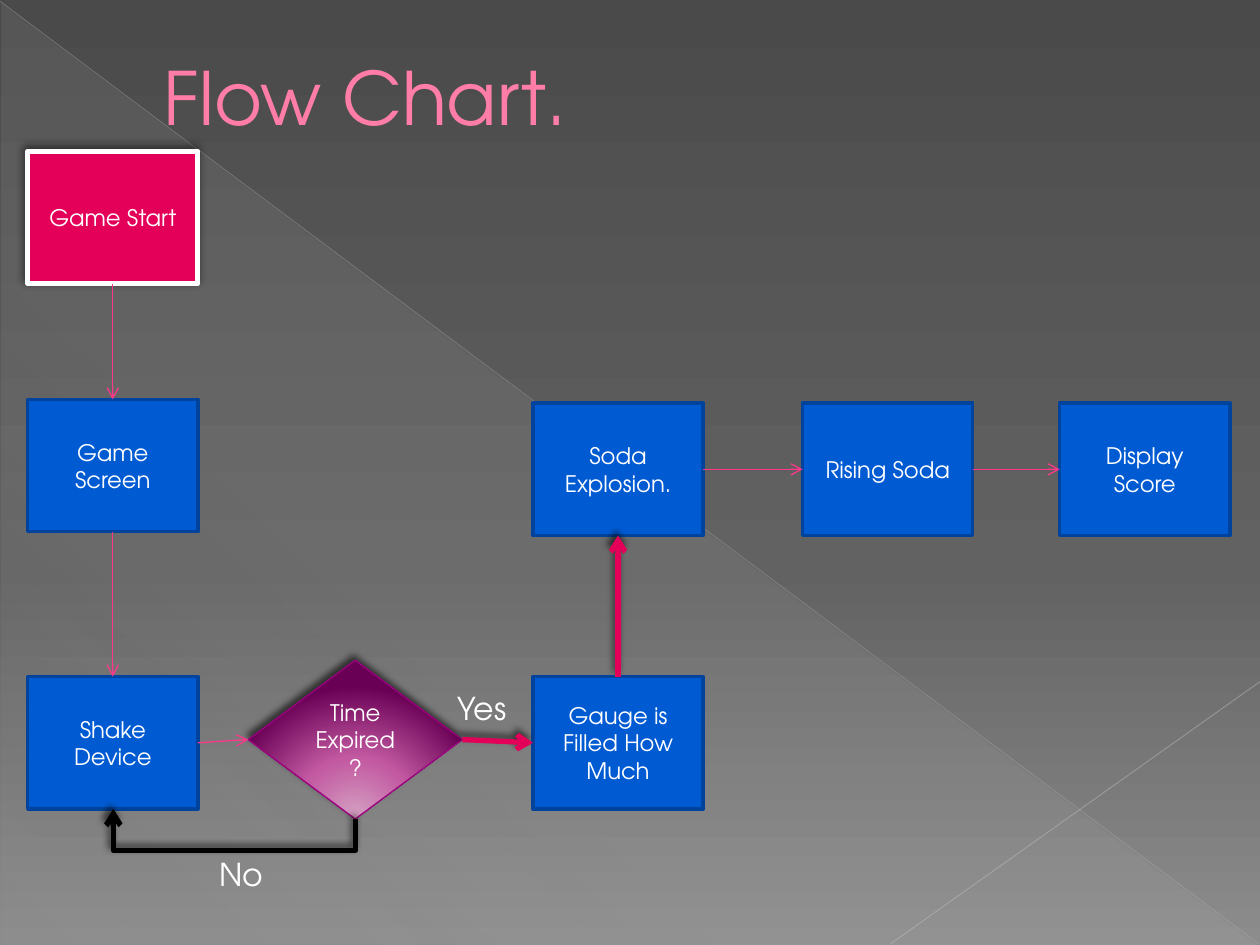
from dataclasses import dataclass

from lxml.etree import SubElement
from pptx import Presentation
from pptx.dml.color import RGBColor
from pptx.enum.shapes import MSO_CONNECTOR, MSO_SHAPE
from pptx.enum.text import MSO_ANCHOR, PP_ALIGN
from pptx.oxml.ns import qn
from pptx.util import Inches, Pt


@dataclass(frozen=True)
class Theme:
    """Colours, font and type sizes of the slide."""
    font: str = "TeX Gyre Adventor"
    title_size: float = 42
    label_size: float = 18
    step_size: float = 13
    title: str = "FF7DA7"
    text: str = "FFFFFF"
    start: str = "E40059"
    step: str = "005BD3"
    step_edge: str = "00439C"
    choice_edge: str = "9C007F"
    arrow: str = "FF388C"
    loop: str = "000000"
    ray: str = "BFBFBF"
    short_ray: str = "C6C6C6"
    backdrop: tuple = ((0, "4A4A4A", 100), (60, "626262", 100), (100, "8C8C8C", 100))
    sheen: tuple = ((0, "D2D2D2", 10), (70, "D2D2D2", 8), (100, "D2D2D2", 1))
    choice: tuple = ((0, "D5A2C3", 100), (46, "C259A1", 100), (100, "690055", 100))


THEME = Theme()
STEP_WIDTH, STEP_HEIGHT = 1.35, 1.05
TOP, LEFT, BOTTOM, RIGHT = range(4)
SOFT_SHADOW = (50, 5, 2)
DEEP_SHADOW = (60, 4, 3)


def rgb(colour):
    """Return a colour object for a hex string."""
    return RGBColor.from_string(colour)


def add_node(parent, tag, **attributes):
    """Append a DrawingML element with the given attributes."""
    node = SubElement(parent, qn(f"a:{tag}"))
    for name, value in attributes.items():
        node.set(name, str(value))
    return node


def add_colour(parent, colour, opacity):
    """Append a colour with its opacity in percent."""
    add_node(add_node(parent, "srgbClr", val=colour), "alpha", val=opacity * 1000)


def paint_gradient(fill, owner, stops, angle=None, focus=None):
    """Fill with gradient stops, linear by angle or circular around a focus."""
    fill.gradient()
    gradient = next(owner.iter(qn("a:gradFill")))
    for child in list(gradient):
        gradient.remove(child)
    stop_list = add_node(gradient, "gsLst")
    for position, colour, opacity in stops:
        add_colour(add_node(stop_list, "gs", pos=position * 1000), colour, opacity)
    if focus:
        sides = {side: percent * 1000 for side, percent in zip("ltrb", focus)}
        add_node(add_node(gradient, "path", path="circle"), "fillToRect", **sides)
    else:
        add_node(gradient, "lin", ang=angle * 60000, scaled=0)


def cast_shadow(effects, shadow):
    """Add an outer shadow given as opacity, blur and distance."""
    opacity, blur, distance = shadow
    outer = add_node(effects, "outerShdw", blurRad=Pt(blur), dist=Pt(distance),
                     dir=245 * 60000, algn="ctr", rotWithShape=0)
    add_colour(outer, THEME.loop, opacity)


def write(frame, text, size, colour=THEME.text, align=PP_ALIGN.LEFT):
    """Write one wrapped paragraph into a text frame."""
    frame.word_wrap = True
    frame.text = text
    paragraph = frame.paragraphs[0]
    paragraph.alignment = align
    paragraph.font.name = THEME.font
    paragraph.font.size = Pt(size)
    paragraph.font.color.rgb = rgb(colour)
    return paragraph


def add_step(slide, text, left, top, width=STEP_WIDTH, height=STEP_HEIGHT,
             kind=MSO_SHAPE.FLOWCHART_PROCESS, fill=THEME.step,
             edge=THEME.step_edge, edge_width=2, shadow=None):
    """Add one flow chart shape with centred text."""
    step = slide.shapes.add_shape(kind, Inches(left), Inches(top), Inches(width), Inches(height))
    step.fill.solid()
    step.fill.fore_color.rgb = rgb(fill)
    step.line.color.rgb = rgb(edge)
    step.line.width = Pt(edge_width)
    step.shadow.inherit = False
    if shadow:
        cast_shadow(next(step._element.iter(qn("a:effectLst"))), shadow)
    step.text_frame.vertical_anchor = MSO_ANCHOR.MIDDLE
    write(step.text_frame, text, THEME.step_size, align=PP_ALIGN.CENTER)
    return step


def add_line(slide, start, end, colour, width, kind=MSO_CONNECTOR.STRAIGHT,
             opacity=100, arrow=False, shadow=None):
    """Add a connector between two points."""
    line = slide.shapes.add_connector(kind, *map(Inches, start + end))
    line.line.color.rgb = rgb(colour)
    line.line.width = Pt(width)
    properties = line._element.spPr
    add_node(next(properties.iter(qn("a:srgbClr"))), "alpha", val=opacity * 1000)
    if arrow:
        add_node(properties.find(qn("a:ln")), "tailEnd", type="arrow")
    effects = add_node(properties, "effectLst")
    if shadow:
        cast_shadow(effects, shadow)
    return line


def link(slide, source, source_side, target, target_side, strong=False):
    """Join two steps with a glued arrow."""
    look = (THEME.start, 3) if strong else (THEME.arrow, 0.75)
    arrow = add_line(slide, (0, 0), (1, 1), *look, arrow=True,
                     shadow=DEEP_SHADOW if strong else None)
    arrow.begin_connect(source, source_side)
    arrow.end_connect(target, target_side)


def add_loop(slide, start, end, low):
    """Add a bent arrow that drops to a low level and returns upwards."""
    middle_x, middle_y = (start[0] + end[0]) / 2, (start[1] + end[1]) / 2
    rise, reach = start[1] - end[1], start[0] - end[0]
    loop = add_line(slide, (middle_x + rise / 2, middle_y - reach / 2),
                    (middle_x - rise / 2, middle_y + reach / 2), THEME.loop, 3,
                    kind=MSO_CONNECTOR.ELBOW, arrow=True, shadow=DEEP_SHADOW)
    properties = loop._element.spPr
    properties.find(qn("a:xfrm")).set("rot", str(90 * 60000))
    adjustments = next(properties.iter(qn("a:avLst")))
    bend = round((start[1] - low) / rise * 100000)
    add_node(adjustments, "gd", name="adj1", fmla=f"val {bend}")


def add_label(slide, text, left, top):
    """Add a branch label."""
    label = slide.shapes.add_textbox(Inches(left), Inches(top), Inches(0.66), Inches(0.4))
    write(label.text_frame, text, THEME.label_size)


def add_backdrop(slide):
    """Paint the background, its sheen and its rays."""
    background = slide.background.fill
    paint_gradient(background, slide._element, THEME.backdrop, angle=90)
    sheen = slide.shapes.add_shape(MSO_SHAPE.RIGHT_TRIANGLE, Inches(0.01), Inches(0.02),
                                   Inches(9.98), Inches(7.48))
    paint_gradient(sheen.fill, sheen._element, THEME.sheen, angle=133)
    sheen.line.fill.background()
    sheen.shadow.inherit = False
    add_line(slide, (0, 0.01), (9.99, 7.49), THEME.ray, 0.39, opacity=35)
    add_line(slide, (10, 5.41), (7.07, 7.49), THEME.short_ray, 0.47, opacity=45)


def add_title(slide, text):
    """Place the title in front of the backdrop."""
    title = slide.shapes.title
    title.left, title.top, title.width, title.height = map(Inches, (0.67, 0, 9, 1.53))
    title.text_frame.vertical_anchor = MSO_ANCHOR.MIDDLE
    heading = write(title.text_frame, text, THEME.title_size, THEME.title)
    heading._p.get_or_add_pPr().set("marL", str(Inches(0.53)))
    title._element.getparent().append(title._element)


def main():
    """Build the flow chart slide."""
    deck = Presentation()
    deck.slide_width, deck.slide_height = Inches(10), Inches(7.5)
    slide = deck.slides.add_slide(deck.slide_layouts[5])
    add_backdrop(slide)
    add_title(slide, "Flow Chart.")

    start = add_step(slide, "Game Start", 0.22, 1.2, fill=THEME.start, edge=THEME.text,
                     edge_width=3, shadow=SOFT_SHADOW)
    screen = add_step(slide, "Game Screen", 0.22, 3.17)
    shake = add_step(slide, "Shake Device", 0.22, 5.37)
    expired = add_step(slide, "Time Expired?", 1.97, 5.24, 1.7, 1.26,
                       kind=MSO_SHAPE.FLOWCHART_DECISION, edge=THEME.choice_edge,
                       edge_width=0.75, shadow=DEEP_SHADOW)
    paint_gradient(expired.fill, expired._element, THEME.choice, focus=(50, 155, 50, -55))
    gauge = add_step(slide, "Gauge is Filled How Much", 4.23, 5.37)
    explosion = add_step(slide, "Soda Explosion.", 4.23, 3.2)
    rising = add_step(slide, "Rising Soda", 6.37, 3.2)
    score = add_step(slide, "Display Score", 8.41, 3.2)

    link(slide, start, BOTTOM, screen, TOP)
    link(slide, screen, BOTTOM, shake, TOP)
    link(slide, shake, RIGHT, expired, LEFT)
    link(slide, expired, RIGHT, gauge, LEFT, strong=True)
    link(slide, gauge, TOP, explosion, BOTTOM, strong=True)
    link(slide, explosion, RIGHT, rising, LEFT)
    link(slide, rising, RIGHT, score, LEFT)
    add_loop(slide, (2.82, 6.5), (0.9, 6.42), 6.75)
    add_label(slide, "Yes", 3.53, 5.42)
    add_label(slide, "No", 1.64, 6.74)
    deck.save("out.pptx")


main()
